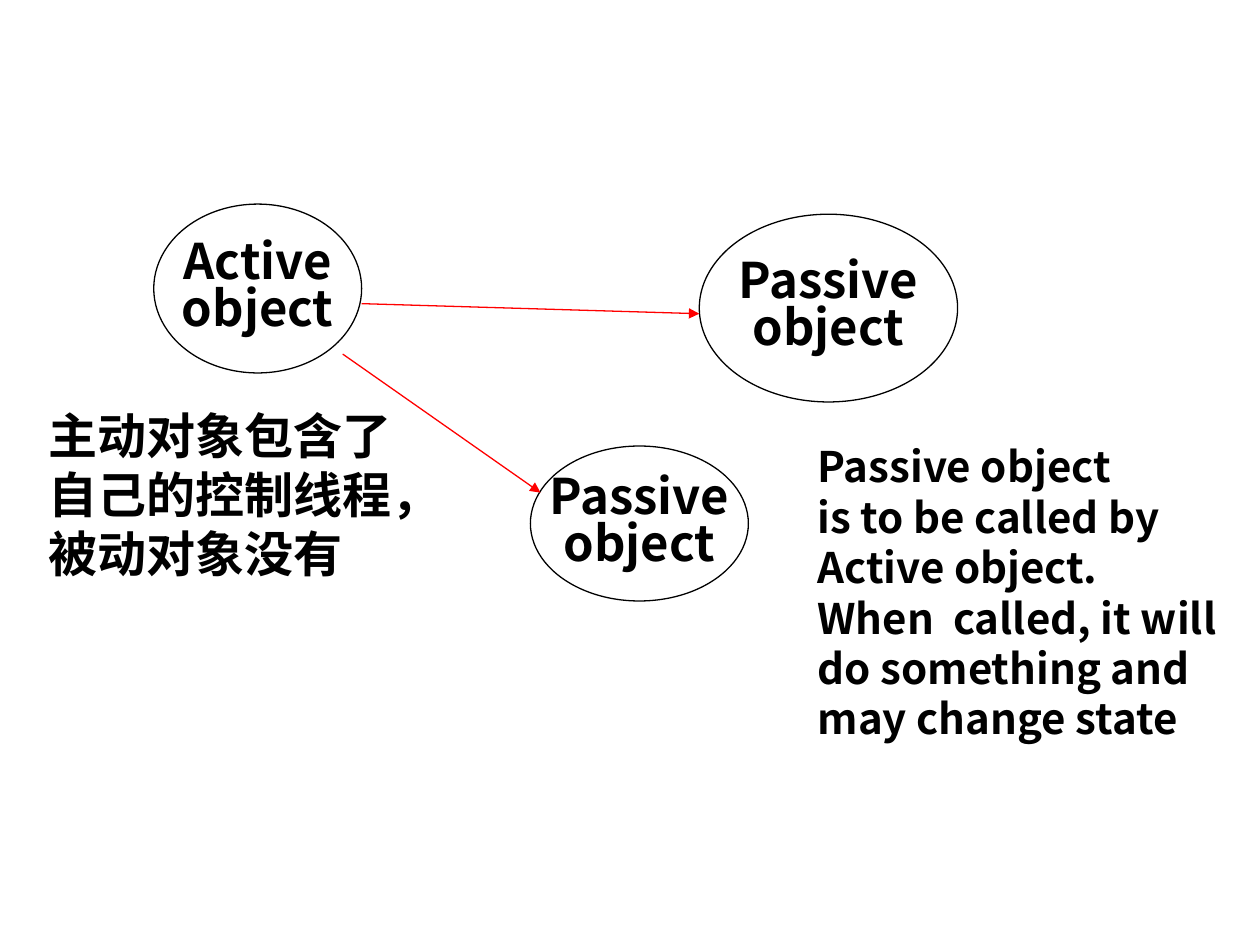
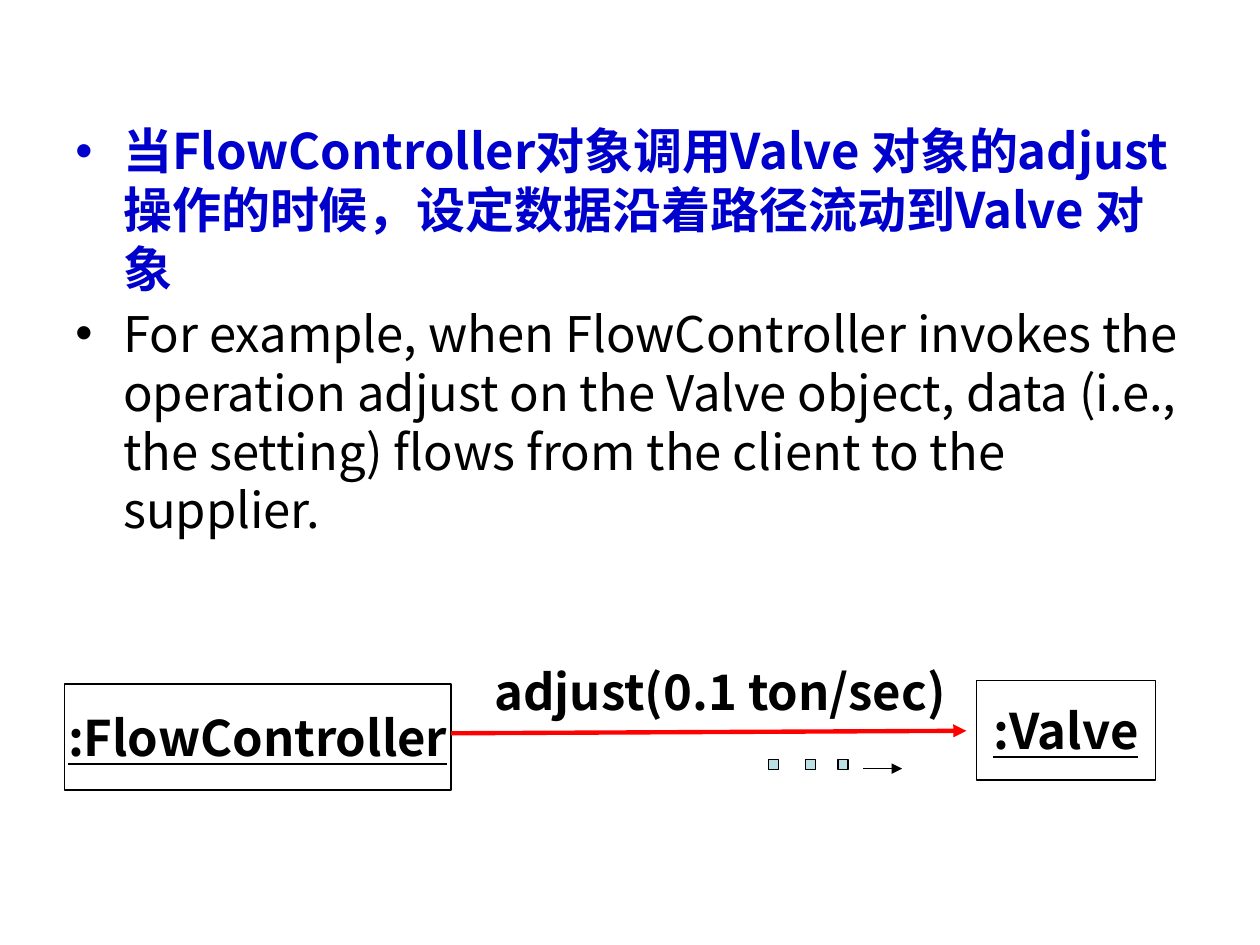
from dataclasses import dataclass
from typing import NamedTuple

from lxml.etree import SubElement
from pptx import Presentation
from pptx.dml.color import RGBColor as Rgb
from pptx.enum.shapes import MSO_CONNECTOR as Link, MSO_SHAPE as Preset
from pptx.enum.text import MSO_ANCHOR as Anchor, MSO_AUTO_SIZE as Fit, PP_ALIGN as Align
from pptx.oxml.ns import qn
from pptx.slide import Slide
from pptx.text.text import TextFrame
from pptx.util import Emu, Inches, Pt

# Grid: 100 columns by 75 rows
WIDTH, HEIGHT = Inches(10), Inches(7.5)
COLUMN, ROW = WIDTH / 100, HEIGHT / 75


@dataclass(frozen=True)
class Theme:
    font: str = "Noto Sans CJK SC"
    ink: str = "000000"
    paper: str = "FFFFFF"
    message: str = "FF0000"
    emphasis: str = "0000CC"
    token: str = "BBE0E3"
    large: float = 28
    small: float = 24
    thin: float = 0.75
    thick: float = 2.5
    tight: float = 0.8
    bullet_gap: float = 3.5
    bullet_indent: float = 0.38


THEME = Theme()


class Area(NamedTuple):
    left: float
    top: float
    width: float
    height: float

    def emu(self) -> tuple[Emu, Emu, Emu, Emu]:
        return (Emu(round(self.left * COLUMN)), Emu(round(self.top * ROW)),
                Emu(round(self.width * COLUMN)), Emu(round(self.height * ROW)))


class Line(NamedTuple):
    text: str
    size: float = THEME.large
    color: str = THEME.ink
    bold: bool = True
    underline: bool = False
    bulleted: bool = False


class Node(NamedTuple):
    area: Area
    lines: tuple[Line, ...] = ()
    preset: Preset = Preset.RECTANGLE
    fill: str = THEME.paper
    spacing: float | None = None


class Note(NamedTuple):
    area: Area
    lines: tuple[Line, ...]
    wrap: bool = False
    grow: bool = True
    margins: bool = True
    align: Align = Align.LEFT


class Arrow(NamedTuple):
    start: tuple[float, float]
    end: tuple[float, float]
    color: str = THEME.message
    weight: float = THEME.thin


# Text and drawing helpers
def add_bullet(paragraph, color: str) -> None:
    props = paragraph._p.get_or_add_pPr()
    indent = Inches(THEME.bullet_indent)
    props.set("marL", str(indent))
    props.set("indent", str(-indent))
    tint = SubElement(props, qn("a:buClr"))
    SubElement(tint, qn("a:srgbClr")).set("val", color)
    SubElement(props, qn("a:buFont")).set("typeface", "Arial")
    SubElement(props, qn("a:buChar")).set("char", "•")


def write(frame: TextFrame, lines: tuple[Line, ...], align: Align,
          spacing: float | None = None) -> None:
    for index, line in enumerate(lines):
        paragraph = frame.add_paragraph() if index else frame.paragraphs[0]
        paragraph.alignment = align
        if spacing:
            paragraph.line_spacing = spacing
        if line.bulleted:
            add_bullet(paragraph, line.color)
            if index:
                paragraph.space_before = Pt(THEME.bullet_gap)
        run = paragraph.add_run()
        run.text = line.text
        font = run.font
        font.name, font.size = THEME.font, Pt(line.size)
        font.bold, font.underline = line.bold, line.underline
        font.color.rgb = Rgb.from_string(line.color)
        SubElement(run._r.get_or_add_rPr(), qn("a:ea")).set("typeface", THEME.font)


def draw_node(slide: Slide, node: Node) -> None:
    shape = slide.shapes.add_shape(node.preset, *node.area.emu())
    shape.shadow.inherit = False
    shape.fill.solid()
    shape.fill.fore_color.rgb = Rgb.from_string(node.fill)
    shape.line.color.rgb = Rgb.from_string(THEME.ink)
    shape.line.width = Pt(THEME.thin)
    shape.text_frame.word_wrap = False
    shape.text_frame.vertical_anchor = Anchor.MIDDLE
    write(shape.text_frame, node.lines, Align.CENTER, node.spacing)


def draw_note(slide: Slide, note: Note) -> None:
    frame = slide.shapes.add_textbox(*note.area.emu()).text_frame
    frame.word_wrap = note.wrap
    frame.auto_size = Fit.SHAPE_TO_FIT_TEXT if note.grow else Fit.NONE
    if not note.margins:
        frame.margin_left = frame.margin_right = 0
        frame.margin_top = frame.margin_bottom = 0
    write(frame, note.lines, note.align)


def draw_arrow(slide: Slide, arrow: Arrow) -> None:
    ends = [Emu(round(value * unit)) for point in (arrow.start, arrow.end)
            for value, unit in zip(point, (COLUMN, ROW))]
    connector = slide.shapes.add_connector(Link.STRAIGHT, *ends)
    connector.line.color.rgb = Rgb.from_string(arrow.color)
    connector.line.width = Pt(arrow.weight)
    SubElement(connector.line._get_or_add_ln(), qn("a:tailEnd")).set("type", "triangle")
    SubElement(connector._element.spPr, qn("a:effectLst"))


DRAW = {Node: draw_node, Note: draw_note, Arrow: draw_arrow}


def object_oval(role: str, area: Area) -> Node:
    return Node(area, (Line(role), Line("object")), Preset.OVAL, spacing=THEME.tight)


def instance_box(name: str, area: Area) -> Node:
    return Node(area, (Line(name, underline=True),))


# Slide 1: active and passive objects
ACTIVE_PASSIVE = (
    object_oval("Active", Area(12.2, 16.2, 16.5, 13.4)),
    object_oval("Passive", Area(55.5, 17, 20.5, 14.9)),
    object_oval("Passive", Area(42.1, 35.4, 17.3, 12.3)),
    Arrow((28.7, 24.1), (55.5, 24.9)),
    Arrow((27.2, 28.1), (42.9, 39.1)),
    Note(Area(2.9, 31.7, 33, 15), tuple(
        Line(text) for text in ("主动对象包含了", "自己的控制线程，", "被动对象没有"))),
    Note(Area(63.9, 34.5, 34.2, 25), tuple(
        Line(text, THEME.small) for text in (
            "Passive object", "is to be called by", "Active object.",
            "When  called, it will", "do something and", "may change state"))),
)

# Slide 2: data flow along a message
TOKEN_COLUMNS = (61, 63.9, 66.5)
DATA_FLOW = (
    Note(Area(5, 9.1, 90, 36.2), (
        Line("当FlowController对象调用Valve 对象的adjust操作的时候，"
             "设定数据沿着路径流动到Valve 对象", color=THEME.emphasis, bulleted=True),
        Line("For example, when FlowController invokes the operation adjust on the "
             "Valve object, data (i.e., the setting) flows from the client to the "
             "supplier.", bold=False, bulleted=True)), wrap=True, grow=False),
    instance_box(":FlowController", Area(5.1, 54.3, 30.7, 8.4)),
    instance_box(":Valve", Area(77.5, 54, 14.2, 7.9)),
    Note(Area(39, 52.5, 36.3, 4.7), (Line("adjust(0.1 ton/sec)"),),
         wrap=True, margins=False, align=Align.CENTER),
    Arrow((35.8, 58.2), (76.7, 58), weight=THEME.thick),
    *(Node(Area(column, 60.3, 0.8, 0.8), fill=THEME.token) for column in TOKEN_COLUMNS),
    Arrow((68.5, 61), (71.6, 61), color=THEME.ink),
)


def main() -> None:
    deck = Presentation()
    deck.slide_width, deck.slide_height = WIDTH, HEIGHT
    for parts in (ACTIVE_PASSIVE, DATA_FLOW):
        slide = deck.slides.add_slide(deck.slide_layouts[6])
        for part in parts:
            DRAW[type(part)](slide, part)
    deck.save("out.pptx")


if __name__ == "__main__":
    main()
